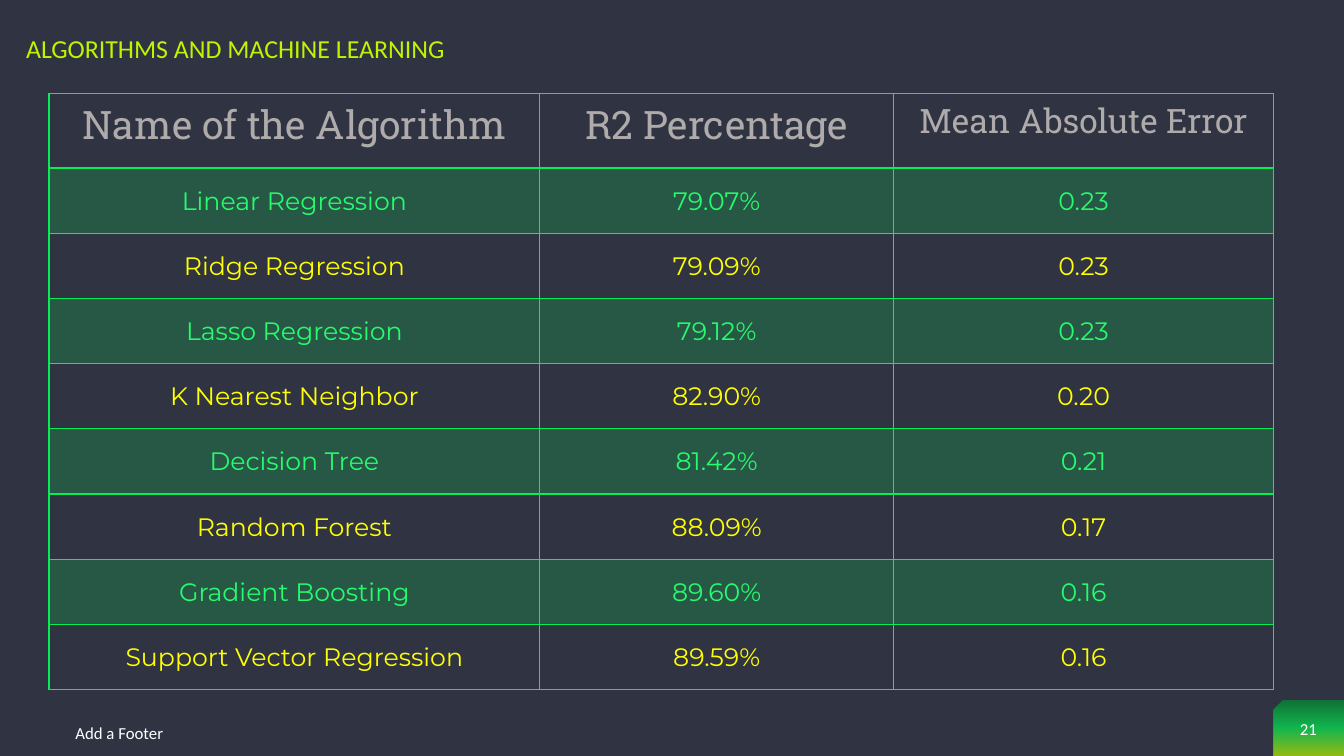
"""Build a slide with a table of regression algorithms and their scores."""
from dataclasses import dataclass

from lxml.etree import SubElement
from pptx import Presentation
from pptx.dml.color import RGBColor
from pptx.enum.shapes import MSO_SHAPE
from pptx.enum.text import MSO_ANCHOR, PP_ALIGN
from pptx.oxml.ns import qn
from pptx.oxml.xmlchemy import OxmlElement
from pptx.slide import Slide
from pptx.table import _Cell as Cell
from pptx.text.text import _Paragraph as Par
from pptx.util import Pt

HUES = {
    "back": "2F3342",
    "green": "05EE55",
    "dark": "038B30",
    "lime": "C0F400",
    "mint": "27FA6D",
    "yellow": "FFFF00",
    "grey": "AFABAB",
    "white": "FFFFFF",
}


@dataclass
class Label:
    text: str
    left: float
    top: float
    width: float
    height: float
    size: float = 12
    hue: str = "white"
    align: PP_ALIGN = PP_ALIGN.LEFT
    anchor: MSO_ANCHOR = MSO_ANCHOR.MIDDLE
    lines: float = 1
    before: float = 0


@dataclass
class Head:
    text: str
    width: float
    size: float


@dataclass
class Score:
    name: str
    r2: str
    error: str


LABELS = [
    Label("Add a Footer", 46.8, 509, 324, 28.8),
    Label("21", 909.4, 504.7, 50.4, 32.4, align=PP_ALIGN.CENTER),
    Label("ALGORITHMS AND MACHINE LEARNING", 11.5, 10.8, 323.3, 36, 18.5, "lime",
          anchor=MSO_ANCHOR.TOP, lines=1.4, before=10),
]
HEADS = [
    Head("Name of the Algorithm", 350.6, 28),
    Head("R2 Percentage", 252.7, 28),
    Head("Mean Absolute Error", 271.4, 24),
]
SCORES = [
    Score("Linear Regression", "79.07%", "0.23"),
    Score("Ridge Regression", "79.09%", "0.23"),
    Score("Lasso Regression", "79.12%", "0.23"),
    Score("K Nearest Neighbor", "82.90%", "0.20"),
    Score("Decision Tree", "81.42%", "0.21"),
    Score("Random Forest", "88.09%", "0.17"),
    Score("Gradient Boosting", "89.60%", "0.16"),
    Score("Support Vector Regression", "89.59%", "0.16"),
]
HEAD_TALL, ROW_TALL = 53.3, 46.6


def style(par: Par, face: str, size: float, hue: str, align: PP_ALIGN) -> None:
    par.alignment = align
    par.font.name = face
    par.font.size = Pt(size)
    par.font.color.rgb = RGBColor.from_string(HUES[hue])


def fade(color, share: int) -> None:
    SubElement(color, qn("a:alpha")).set("val", str(share * 1000))


def add_label(slide: Slide, label: Label) -> None:
    box = slide.shapes.add_textbox(
        Pt(label.left), Pt(label.top), Pt(label.width), Pt(label.height))
    frame = box.text_frame
    frame.word_wrap = True
    frame.vertical_anchor = label.anchor
    par = frame.paragraphs[0]
    par.text = label.text
    par.line_spacing = label.lines
    par.space_before = Pt(label.before)
    style(par, "Calibri", label.size, label.hue, label.align)


def add_tab(slide: Slide) -> None:
    tab = slide.shapes.add_shape(
        MSO_SHAPE.SNIP_1_RECTANGLE, Pt(909.4), Pt(500.4), Pt(50.6), Pt(39.6))
    tab.shadow.inherit = False
    tab.line.fill.background()
    tab.fill.gradient()
    tab.fill.gradient_angle = 270
    props = tab._element.spPr
    props.find(qn("a:xfrm")).set("flipH", "1")
    stops = props.find(".//" + qn("a:gsLst"))
    stops.clear()
    for place, hue in ((0, "dark"), (50, "green"), (100, "lime")):
        stop = SubElement(stops, qn("a:gs"), pos=str(place * 1000))
        fade(SubElement(stop, qn("a:srgbClr"), val=HUES[hue]), 70)


def edge(cell: Cell, base: float) -> None:
    props = cell._tc.get_or_add_tcPr()
    sides = (("L", 1), ("R", 1), ("T", 1), ("B", base))
    for spot, (side, width) in enumerate(sides):
        line = OxmlElement(f"a:ln{side}")
        line.set("w", str(Pt(width)))
        fill = SubElement(line, qn("a:solidFill"))
        SubElement(fill, qn("a:srgbClr"), val=HUES["green"])
        props.insert(spot, line)


def fill_cell(cell: Cell, text: str, face: str, size: float, hue: str) -> None:
    cell.text = text
    style(cell.text_frame.paragraphs[0], face, size, hue, PP_ALIGN.CENTER)
    cell.fill.background()


def add_score(cell: Cell, text: str, shade: bool) -> None:
    fill_cell(cell, text, "Montserrat", 18, "mint" if shade else "yellow")
    cell.vertical_anchor = MSO_ANCHOR.MIDDLE
    cell.margin_left = cell.margin_right = cell.margin_top = Pt(0.7)
    cell.margin_bottom = Pt(0)
    if shade:
        cell.fill.solid()
        cell.fill.fore_color.rgb = RGBColor.from_string(HUES["green"])
        fade(cell._tc.tcPr.find(".//" + qn("a:srgbClr")), 20)
    edge(cell, 1)


def add_grid(slide: Slide) -> None:
    wide = sum(head.width for head in HEADS)
    tall = HEAD_TALL + ROW_TALL * len(SCORES)
    grid = slide.shapes.add_table(
        len(SCORES) + 1, len(HEADS), Pt(35), Pt(66.7), Pt(wide), Pt(tall)).table
    grid.first_row = grid.horz_banding = False
    grid.rows[0].height = Pt(HEAD_TALL)
    for col, head in enumerate(HEADS):
        grid.columns[col].width = Pt(head.width)
        cell = grid.cell(0, col)
        fill_cell(cell, head.text, "Roboto Slab", head.size, "grey")
        edge(cell, 2)
    for row, score in enumerate(SCORES, 1):
        grid.rows[row].height = Pt(ROW_TALL)
        for col, text in enumerate((score.name, score.r2, score.error)):
            add_score(grid.cell(row, col), text, row % 2 == 1)


def main() -> None:
    deck = Presentation()
    deck.slide_width, deck.slide_height = Pt(960), Pt(540)
    slide = deck.slides.add_slide(deck.slide_layouts[6])
    back = slide.background.fill
    back.solid()
    back.fore_color.rgb = RGBColor.from_string(HUES["back"])
    add_tab(slide)
    for label in LABELS:
        add_label(slide, label)
    add_grid(slide)
    deck.save("out.pptx")


if __name__ == "__main__":
    main()
